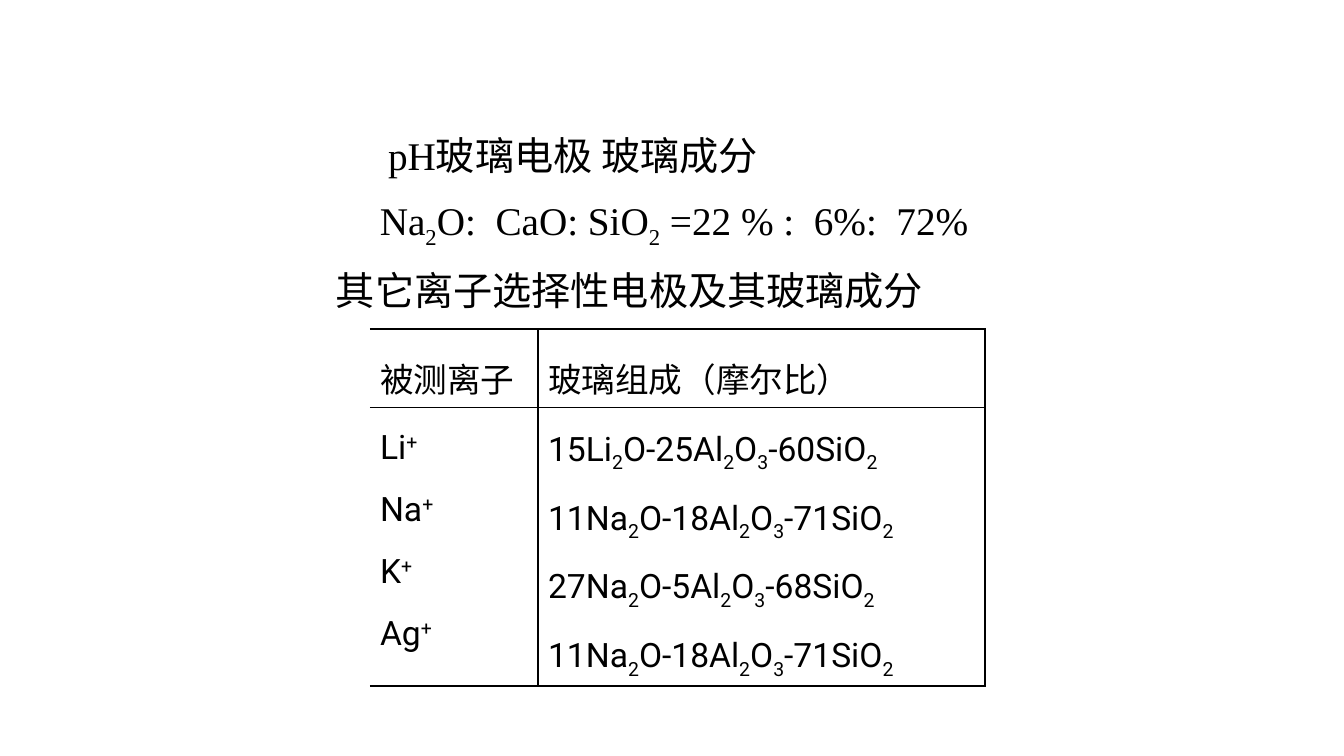
import pptx
import pptx.dml.color
import pptx.enum.text
import pptx.oxml.ns
import pptx.util
import lxml.etree

THEME = {
    "ink": "000000",
    "heading_font": "Times New Roman",
    "heading_size": 28,
    "table_font": "Roboto",
    "table_size": 24,
    "thin": 1,
    "thick": 2.25,
}
BASELINES = {"_": "-25000", "^": "30000"}
NO_STYLE = "{2D5ABB26-0587-4C30-8999-92F81FD0307C}"


def px(n):
    return round(n * 914400 / 100.8)


def write(tf, text, *, font, size, line, gap=0):
    """Fill tf, one paragraph a line; '|' splits runs, a leading '_' or '^' lowers or raises one."""
    for i, row in enumerate(text.split("\n")):
        p = tf.paragraphs[0] if i == 0 else tf.add_paragraph()
        p.alignment = pptx.enum.text.PP_ALIGN.LEFT
        p.line_spacing = line
        p.space_before = pptx.util.Pt(gap if i else 0)
        for part in filter(None, row.split("|")):
            r = p.add_run()
            r.text = part.lstrip("_^")
            r.font.name = font
            r.font.size = pptx.util.Pt(size)
            r.font.color.rgb = pptx.dml.color.RGBColor.from_string(THEME["ink"])
            if part[0] in BASELINES:
                r._r.get_or_add_rPr().set("baseline", BASELINES[part[0]])


prs = pptx.Presentation()
prs.slide_width, prs.slide_height = px(1344), px(756)
s = prs.slides.add_slide(prs.slide_layouts[5])

# Headings
headings = [
    (s.shapes.title, (378, 122, 469, 62), "pH玻璃电极 玻璃成分"),
    (None, (370, 186, 631, 62), "Na|_2|O:  CaO: SiO|_2| =22 % :  6%:  72%"),
    (None, (326, 257, 636, 62), "其它离子选择性电极及其玻璃成分"),
]
for sp, box, text in headings:
    sp = sp or s.shapes.add_textbox(0, 0, 0, 0)
    sp.left, sp.top, sp.width, sp.height = map(px, box)
    tf = sp.text_frame
    tf.word_wrap = True
    tf.auto_size = pptx.enum.text.MSO_AUTO_SIZE.NONE
    tf.vertical_anchor = pptx.enum.text.MSO_ANCHOR.TOP
    write(tf, text, font=THEME["heading_font"], size=THEME["heading_size"], line=1.1)

# Glass composition table
ions = ["Li|^+", "Na|^+", "K|^+", "Ag|^+"]
mixes = [("15Li", 25, 60), ("11Na", 18, 71), ("27Na", 5, 68), ("11Na", 18, 71)]
glasses = [f"{oxide}|_2|O-{al}Al|_2|O|_3|-{si}SiO|_2" for oxide, al, si in mixes]
rows = [["被测离子", "玻璃组成（摩尔比）"], ["\n".join(ions), "\n".join(glasses)]]

table = s.shapes.add_table(2, 2, px(370), px(329), px(615), px(339)).table
table.first_row = table.horz_banding = False
table._tbl.tblPr.find(pptx.oxml.ns.qn("a:tableStyleId")).text = NO_STYLE
for column, width in zip(table.columns, (168, 447)):
    column.width = px(width)
for row, height in zip(table.rows, (67, 272)):
    row.height = px(height)

for i, texts in enumerate(rows):
    for j, text in enumerate(texts):
        cell = table.cell(i, j)
        write(cell.text_frame, text, font=THEME["table_font"],
              size=THEME["table_size"], line=1.4, gap=4.8)
        borders = {"R": THEME["thin"], "T": THEME["thin"],
                   "B": THEME["thick"] if i else THEME["thin"]}
        if j:
            borders = {"L": THEME["thin"], **borders}
        tcPr = cell._tc.get_or_add_tcPr()
        for side, width in borders.items():
            ln = lxml.etree.SubElement(tcPr, pptx.oxml.ns.qn(f"a:ln{side}"),
                                       w=str(pptx.util.Pt(width)))
            fill = lxml.etree.SubElement(ln, pptx.oxml.ns.qn("a:solidFill"))
            lxml.etree.SubElement(fill, pptx.oxml.ns.qn("a:srgbClr"), val=THEME["ink"])
        cell.fill.background()

prs.save("out.pptx")
